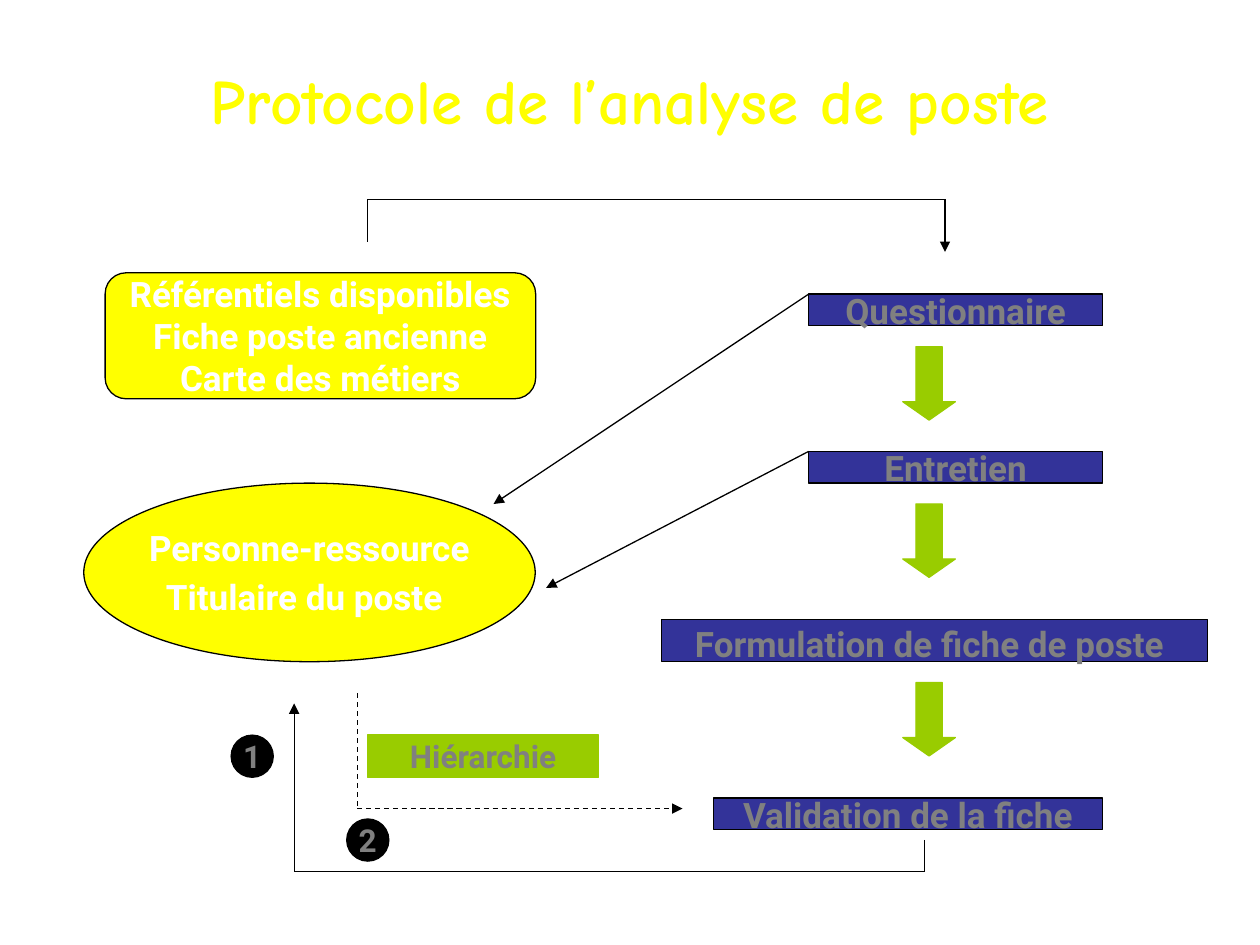
import pptx
import pptx.util
import pptx.dml.color
import pptx.enum.dml
import pptx.enum.shapes
import pptx.enum.text
import pptx.oxml
import lxml.etree

Cm = pptx.util.Cm
Pt = pptx.util.Pt
KIND = pptx.enum.shapes.MSO_SHAPE
HEX = {"yellow": "FFFF00", "blue": "333399", "green": "99CC00",
       "black": "000000", "white": "FFFFFF", "gray": "808080"}
RGB = {name: pptx.dml.color.RGBColor.from_string(code) for name, code in HEX.items()}

deck = pptx.Presentation()
deck.slide_width, deck.slide_height = Cm(25.4), Cm(19.05)
slide = deck.slides.add_slide(deck.slide_layouts[6])


def write(frame, lines, size, font, tint):
    """Fill a frame with centred bold lines; a trailing space is a larger plain run."""
    frame.vertical_anchor = pptx.enum.text.MSO_ANCHOR.MIDDLE
    for i, line in enumerate(lines):
        para = frame.paragraphs[0] if i == 0 else frame.add_paragraph()
        para.alignment = pptx.enum.text.PP_ALIGN.CENTER
        parts = [(line.rstrip(), size, True)]
        if line.endswith(" "):
            parts.append((" ", 24, False))
        for text, points, bold in parts:
            run = para.add_run()
            run.text = text
            run.font.size, run.font.bold = Pt(points), bold
            run.font.name = font
            run.font.color.rgb = RGB[tint]


def draw(kind, box, fill, edge):
    """Add a filled preset shape with a thin outline."""
    shape = slide.shapes.add_shape(kind, *map(Cm, box))
    shape.shadow.inherit = False
    shape.fill.solid()
    shape.fill.fore_color.rgb = RGB[fill]
    shape.line.color.rgb = RGB[edge]
    shape.line.width = Pt(0.75)
    return shape


# Title
title = slide.shapes.add_textbox(Cm(0), Cm(0.64), Cm(25.4), Cm(2.72))
title.text_frame.word_wrap = True
write(title.text_frame, ["Protocole de l’analyse de poste"], 36, "Comic Neue", "yellow")

# Labelled shapes: kind, box, fill, edge, text colour, size, lines
oval, rect = KIND.OVAL, KIND.RECTANGLE
step = ("blue", "black", "gray", 20)
source = ("yellow", "black", "white", 20)
badge = ("black", "black", "gray", 18)
labels = [
    (oval, (1.69, 9.74, 9.1, 3.6), *source, ["Personne-ressource", "Titulaire du poste "]),
    (KIND.FLOWCHART_ALTERNATE_PROCESS, (2.12, 5.5, 8.68, 2.54), *source,
     ["Référentiels disponibles", "Fiche poste ancienne", "Carte des métiers"]),
    (rect, (16.3, 5.93, 5.93, 0.64), *step, ["Questionnaire"]),
    (rect, (16.3, 9.1, 5.93, 0.64), *step, ["Entretien"]),
    (rect, (13.34, 12.49, 11.01, 0.85), *step, ["Formulation de fiche de poste "]),
    (rect, (14.39, 16.09, 7.83, 0.64), *step, ["Validation de la fiche"]),
    (oval, (4.66, 14.82, 0.85, 0.85), *badge, ["1"]),
    (oval, (6.99, 16.51, 0.85, 0.85), *badge, ["2"]),
    (rect, (7.41, 14.82, 4.66, 0.85), "green", "green", "gray", 18, ["Hiérarchie"]),
]
for kind, box, fill, edge, tint, size, lines in labels:
    shape = draw(kind, box, fill, edge)
    shape.text_frame.word_wrap = False
    write(shape.text_frame, lines, size, "Roboto", tint)

# Block arrows between the steps
for top in (6.99, 10.16, 13.76):
    arrow = draw(KIND.DOWN_ARROW, (18.2, top, 1.06, 1.48), "green", "green")
    arrow.adjustments[0], arrow.adjustments[1] = 0.5, 0.35

# Routes: each ends with an arrowhead
routes = [
    (False, [(7.41, 4.87), (7.41, 4.02), (19.05, 4.02), (19.05, 5.08)]),
    (False, [(16.3, 5.93), (9.95, 10.16)]),
    (False, [(16.3, 9.1), (11.01, 11.85)]),
    (False, [(18.63, 16.93), (18.63, 17.57), (5.93, 17.57), (5.93, 14.18)]),
    (True, [(7.2, 13.97), (7.2, 16.3), (13.76, 16.3)]),
]
for dashed, points in routes:
    for start, end in zip(points, points[1:]):
        link = slide.shapes.add_connector(
            pptx.enum.shapes.MSO_CONNECTOR.STRAIGHT, *map(Cm, start + end))
        link.line.color.rgb = RGB["black"]
        link.line.width = Pt(0.75)
        if dashed:
            link.line.dash_style = pptx.enum.dml.MSO_LINE.DASH
        if end == points[-1]:
            tail = lxml.etree.SubElement(link.line._get_or_add_ln(),
                                         pptx.oxml.ns.qn("a:tailEnd"))
            tail.set("type", "triangle")
        lxml.etree.SubElement(link._element.spPr, pptx.oxml.ns.qn("a:effectLst"))

deck.save("out.pptx")
